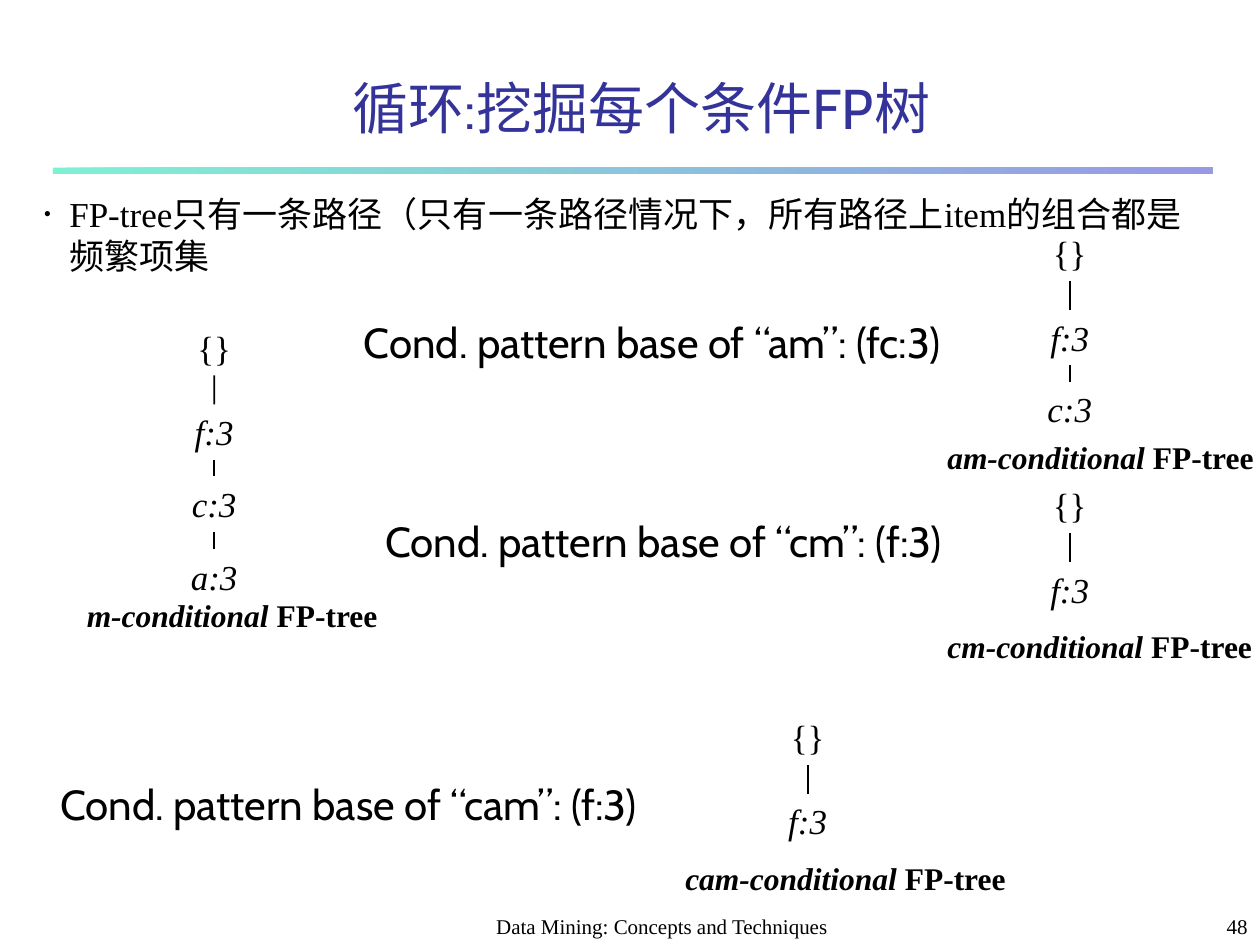
from dataclasses import dataclass

from lxml import etree
from pptx import Presentation
from pptx.dml.color import RGBColor
from pptx.enum.shapes import MSO_CONNECTOR, MSO_SHAPE
from pptx.enum.text import MSO_ANCHOR, MSO_AUTO_SIZE, PP_ALIGN
from pptx.oxml.ns import qn
from pptx.shapes.autoshape import Shape
from pptx.slide import Slide
from pptx.text.text import _Paragraph
from pptx.util import Inches, Pt

LEFT, CENTER, RIGHT = PP_ALIGN.LEFT, PP_ALIGN.CENTER, PP_ALIGN.RIGHT
TOP, BOTTOM = MSO_ANCHOR.TOP, MSO_ANCHOR.BOTTOM
FIT_SHAPE, NO_FIT = MSO_AUTO_SIZE.SHAPE_TO_FIT_TEXT, MSO_AUTO_SIZE.NONE
STRAIGHT, RECTANGLE = MSO_CONNECTOR.STRAIGHT, MSO_SHAPE.RECTANGLE

COLORS = {"title": "333399", "text": "000000", "rule_start": "00E4A8", "rule_end": "3333CC"}
SERIF, SANS = "Times New Roman", "Cabin"
NODE_OFFSETS = (0, 0.67, 1.24, 1.82)
NODE_WIDTHS = {"{}": 0.46, "f:3": 0.51, "c:3": 0.55, "a:3": 0.57}
NODE_HEIGHT = 0.44
BOTTOM_SIDE, TOP_SIDE = 2, 0


@dataclass
class Box:
    left: float
    top: float
    width: float
    height: float

    def lengths(self) -> tuple:
        return tuple(Inches(value) for value in (self.left, self.top, self.width, self.height))


@dataclass
class Tree:
    center: float
    top: float
    nodes: tuple[str, ...]
    items: str
    caption: Box


@dataclass
class PatternBase:
    text: str
    box: Box


@dataclass
class FooterText:
    text: str
    box: Box
    align: PP_ALIGN


TREES = (
    Tree(1.7, 2.54, ("{}", "f:3", "c:3", "a:3"), "m", Box(0.59, 4.68, 2.51, 0.4)),
    Tree(8.49, 1.79, ("{}", "f:3", "c:3"), "am", Box(7.42, 3.43, 2.63, 0.4)),
    Tree(8.49, 3.79, ("{}", "f:3"), "cm", Box(7.42, 4.93, 2.62, 0.4)),
    Tree(6.41, 5.63, ("{}", "f:3"), "cam", Box(5.34, 6.77, 2.75, 0.4)),
)
PATTERN_BASES = (
    PatternBase("Cond. pattern base of “am”: (fc:3)", Box(2.79, 2.46, 5.35, 0.5)),
    PatternBase("Cond. pattern base of “cm”: (f:3)", Box(2.96, 4.04, 5.16, 0.5)),
    PatternBase("Cond. pattern base of “cam”: (f:3)", Box(0.38, 6.13, 5.35, 0.5)),
)
FOOTER_TEXTS = (
    FooterText("Data Mining: Concepts and Techniques", Box(3.67, 7.08, 3.17, 0.42), CENTER),
    FooterText("48", Box(7.92, 7.08, 2.08, 0.42), RIGHT),
)


def format_paragraph(paragraph: _Paragraph, size: float, name: str = SERIF,
                     color: str = "text", align: PP_ALIGN = LEFT) -> None:
    paragraph.alignment = align
    font = paragraph.font
    font.size = Pt(size)
    font.name = name
    font.color.rgb = RGBColor.from_string(COLORS[color])


def add_text_box(slide: Slide, box: Box, text: str, size: float, name: str = SERIF,
                 align: PP_ALIGN = LEFT) -> Shape:
    """Add a one-line text box that does not wrap."""
    shape = slide.shapes.add_textbox(*box.lengths())
    frame = shape.text_frame
    frame.word_wrap = False
    frame.auto_size = FIT_SHAPE
    paragraph = frame.paragraphs[0]
    if text:
        paragraph.text = text
    format_paragraph(paragraph, size, name, align=align)
    return shape


def add_node(slide: Slide, box: Box, label: str) -> Shape:
    """Add a centred label whose box keeps its size, with no side margins."""
    node = add_text_box(slide, box, label, 20, align=CENTER)
    frame = node.text_frame
    frame.auto_size = NO_FIT
    frame.margin_left = frame.margin_right = 0
    frame.paragraphs[0].font.italic = label != "{}"
    return node


def connect_nodes(slide: Slide, upper: Shape, lower: Shape) -> None:
    connector = slide.shapes.add_connector(STRAIGHT, 0, 0, 0, 0)
    connector.begin_connect(upper, BOTTOM_SIDE)
    connector.end_connect(lower, TOP_SIDE)
    connector.line.color.rgb = RGBColor.from_string(COLORS["text"])
    connector.line.width = Pt(1)
    properties = connector._element.find(qn("p:spPr"))
    etree.SubElement(properties, qn("a:effectLst"))


def add_tree(slide: Slide, tree: Tree) -> None:
    previous = None
    for label, offset in zip(tree.nodes, NODE_OFFSETS):
        width = NODE_WIDTHS[label]
        box = Box(tree.center - width / 2, tree.top + offset, width, NODE_HEIGHT)
        node = add_node(slide, box, label)
        if previous is not None:
            connect_nodes(slide, previous, node)
        previous = node

    caption = add_text_box(slide, tree.caption, "", 18)
    paragraph = caption.text_frame.paragraphs[0]
    paragraph.font.bold = True
    for text, italic in ((f"{tree.items}-conditional ", True), ("FP-tree", False)):
        run = paragraph.add_run()
        run.text = text
        run.font.italic = italic


def add_gradient_rule(slide: Slide) -> None:
    rule = slide.shapes.add_shape(RECTANGLE, *Box(0.42, 1.33, 9.2, 0.05).lengths())
    rule.shadow.inherit = False
    rule.line.fill.background()
    rule.fill.gradient()
    rule.fill.gradient_angle = 0
    for stop, color in zip(rule.fill.gradient_stops, ("rule_start", "rule_end")):
        stop.color.rgb = RGBColor.from_string(COLORS[color])
    for color_element in rule._element.spPr.iter(qn("a:srgbClr")):
        etree.SubElement(color_element, qn("a:alpha"), val="50000")


def place_placeholder(shape: Shape, box: Box, text: str, anchor: MSO_ANCHOR,
                      fit: MSO_AUTO_SIZE) -> _Paragraph:
    shape.left, shape.top, shape.width, shape.height = box.lengths()
    frame = shape.text_frame
    frame.text = text
    frame.word_wrap = True
    frame.vertical_anchor = anchor
    frame.auto_size = fit
    paragraph = frame.paragraphs[0]
    paragraph.space_before = Pt(0)
    return paragraph


def add_bullet(paragraph: _Paragraph) -> None:
    properties = paragraph._p.get_or_add_pPr()
    properties.set("marL", str(Inches(0.2)))
    properties.set("indent", str(-Inches(0.2)))
    etree.SubElement(properties, qn("a:buSzPct"), val="55000")
    etree.SubElement(properties, qn("a:buChar"), char="•")


def main() -> None:
    presentation = Presentation()
    presentation.slide_width = Inches(10)
    presentation.slide_height = Inches(7.5)
    slide = presentation.slides.add_slide(presentation.slide_layouts[1])

    title = place_placeholder(slide.shapes.title, Box(0.42, 0.42, 9.34, 0.75),
                              "循环:挖掘每个条件FP树", BOTTOM, NO_FIT)
    format_paragraph(title, 32, SANS, "title", CENTER)
    body = place_placeholder(slide.placeholders[1], Box(0.25, 1.48, 9.34, 0.77),
                             "FP-tree只有一条路径（只有一条路径情况下，所有路径上item的组合都是频繁项集",
                             TOP, FIT_SHAPE)
    add_bullet(body)
    format_paragraph(body, 20)

    add_gradient_rule(slide)
    for tree in TREES:
        add_tree(slide, tree)
    for base in PATTERN_BASES:
        add_text_box(slide, base.box, base.text, 24, SANS)
    for footer in FOOTER_TEXTS:
        shape = add_text_box(slide, footer.box, footer.text, 12, align=footer.align)
        shape.text_frame.word_wrap = True
        shape.text_frame.auto_size = NO_FIT
        shape.text_frame.vertical_anchor = BOTTOM

    presentation.save("out.pptx")


if __name__ == "__main__":
    main()
